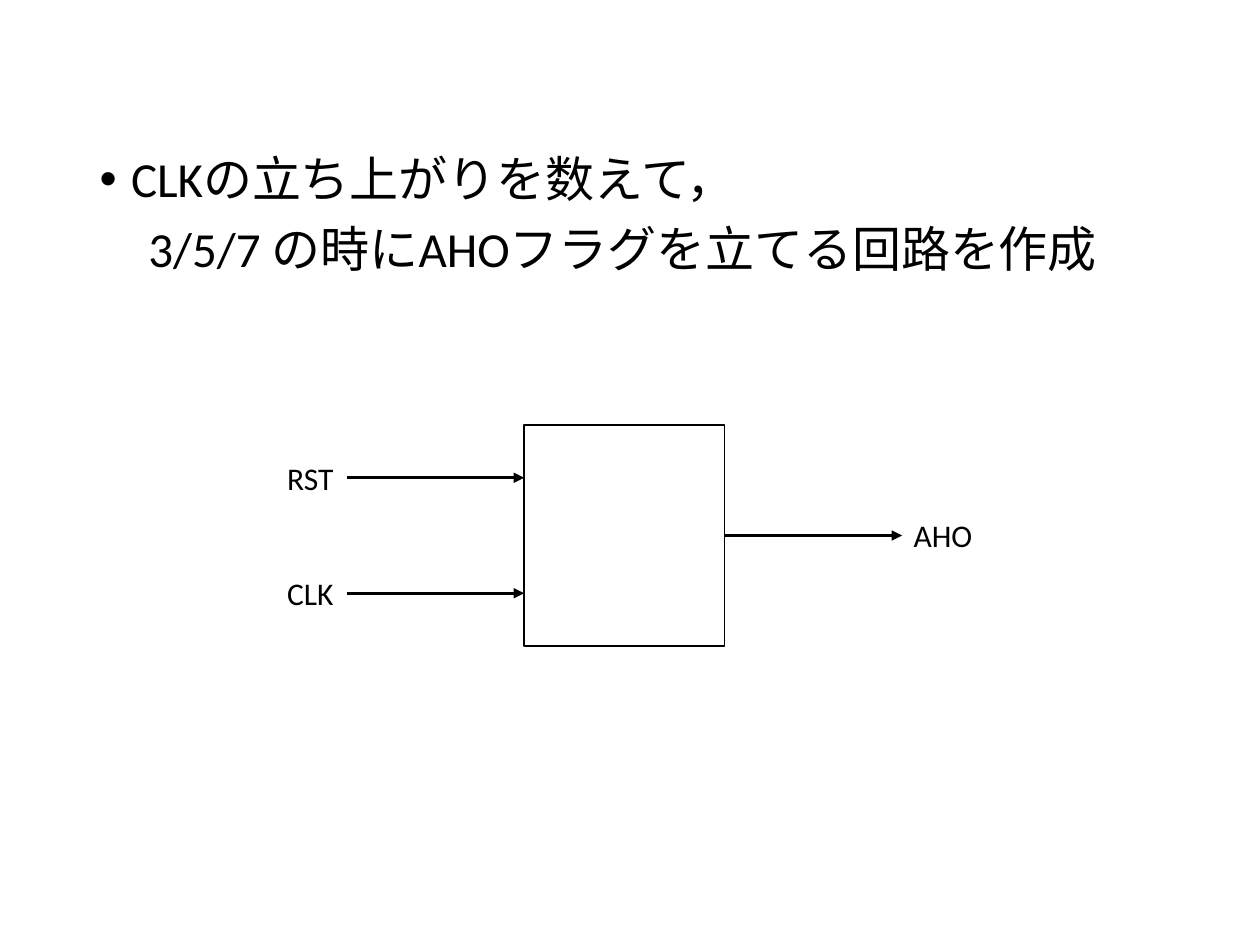
from lxml.etree import SubElement
from pptx import Presentation
from pptx.dml.color import RGBColor
from pptx.enum.shapes import MSO_CONNECTOR, MSO_SHAPE
from pptx.enum.text import MSO_ANCHOR, MSO_AUTO_SIZE
from pptx.oxml.ns import qn
from pptx.util import Pt

BLACK = RGBColor(0, 0, 0)
FONT = "Calibri"
BLOCK_LEFT, BLOCK_TOP, BLOCK_WIDTH, BLOCK_HEIGHT = 299.5, 243, 114.5, 126
BLOCK_RIGHT = BLOCK_LEFT + BLOCK_WIDTH
MIDDLE = BLOCK_TOP + BLOCK_HEIGHT / 2
INPUT_OFFSET = 33
WIRE_LENGTH = 101.5
LABEL_HEIGHT = 29
SENTENCES = [
    ("CLKの立ち上がりを数えて，", "•", 18),
    "\u30003/5/7 の時にAHOフラグを立てる回路を作成".join(["", ""]) and
    ("　3/5/7 の時にAHOフラグを立てる回路を作成", None, 0),
]
SENTENCES = [
    ("CLKの立ち上がりを数えて，", "•", 18),
    ("　3/5/7 の時にAHOフラグを立てる回路を作成", None, 0),
]


def set_all(target, values):
    """Set every attribute named in values on the target."""
    for name, value in values.items():
        setattr(target, name, value)


def write_span(para, text, size):
    """Add one black span of text to a paragraph."""
    span = para.add_run()
    span.text = text
    set_all(span.font, {"name": FONT, "size": Pt(size)})
    span.font.color.rgb = BLACK


def set_bullet(para, mark, indent):
    """Give a paragraph a hanging bullet, or none."""
    properties = para._p.get_or_add_pPr()
    properties.set("marL", str(Pt(indent)))
    properties.set("indent", str(-Pt(indent)))
    if mark:
        SubElement(properties, qn("a:buFont"), typeface="Arial")
        SubElement(properties, qn("a:buChar"), char=mark)
    else:
        SubElement(properties, qn("a:buNone"))


def fill_body(body):
    """Place the body placeholder and write the task in it."""
    set_all(body, {"left": Pt(49.7), "top": Pt(85), "width": Pt(630.7), "height": Pt(82.8)})
    frame = body.text_frame
    set_all(frame, {"word_wrap": True, "auto_size": MSO_AUTO_SIZE.NONE,
                    "vertical_anchor": MSO_ANCHOR.TOP})
    for index, (text, mark, indent) in enumerate(SENTENCES):
        para = frame.add_paragraph() if index else frame.paragraphs[0]
        set_all(para, {"line_spacing": 0.9, "space_before": Pt(10)})
        set_bullet(para, mark, indent)
        write_span(para, text, 28)


def add_block(shapes):
    """Add the outlined circuit block."""
    block = shapes.add_shape(MSO_SHAPE.RECTANGLE, Pt(BLOCK_LEFT), Pt(BLOCK_TOP),
                             Pt(BLOCK_WIDTH), Pt(BLOCK_HEIGHT))
    block.shadow.inherit = False
    block.fill.background()
    block.line.color.rgb = BLACK
    block.line.width = Pt(1)
    return block


def add_wire(shapes, left, height):
    """Add a signal arrow that points right."""
    wire = shapes.add_connector(MSO_CONNECTOR.STRAIGHT, Pt(left), Pt(height),
                                Pt(left + WIRE_LENGTH), Pt(height))
    wire.line.color.rgb = BLACK
    wire.line.width = Pt(1.5)
    SubElement(wire.line._get_or_add_ln(), qn("a:tailEnd"), type="triangle")
    SubElement(wire._element.spPr, qn("a:effectLst"))
    return wire


def add_label(shapes, text, left, width, height):
    """Add a signal name centred on its wire's height."""
    box = shapes.add_textbox(Pt(left), Pt(height - LABEL_HEIGHT / 2),
                             Pt(width), Pt(LABEL_HEIGHT))
    set_all(box.text_frame, {"word_wrap": False, "auto_size": MSO_AUTO_SIZE.SHAPE_TO_FIT_TEXT})
    write_span(box.text_frame.paragraphs[0], text, 18)


def main():
    """Build and save the deck."""
    deck = Presentation()
    set_all(deck, {"slide_width": Pt(720), "slide_height": Pt(540)})
    page = deck.slides.add_slide(deck.slide_layouts[1])
    title = page.shapes.title.element
    title.getparent().remove(title)
    fill_body(page.placeholders[1])

    shapes = page.shapes.add_group_shape().shapes
    block = add_block(shapes)
    wire_left = BLOCK_LEFT - WIRE_LENGTH
    for text, height in (("RST", MIDDLE - INPUT_OFFSET), ("CLK", MIDDLE + INPUT_OFFSET)):
        add_wire(shapes, wire_left, height)
        add_label(shapes, text, wire_left - 41, 41.5, height)
    output = add_wire(shapes, BLOCK_RIGHT, MIDDLE)
    output.begin_connect(block, 3)
    add_label(shapes, "AHO", BLOCK_RIGHT + WIRE_LENGTH - 0.5, 48, MIDDLE)
    deck.save("out.pptx")


if __name__ == "__main__":
    main()
